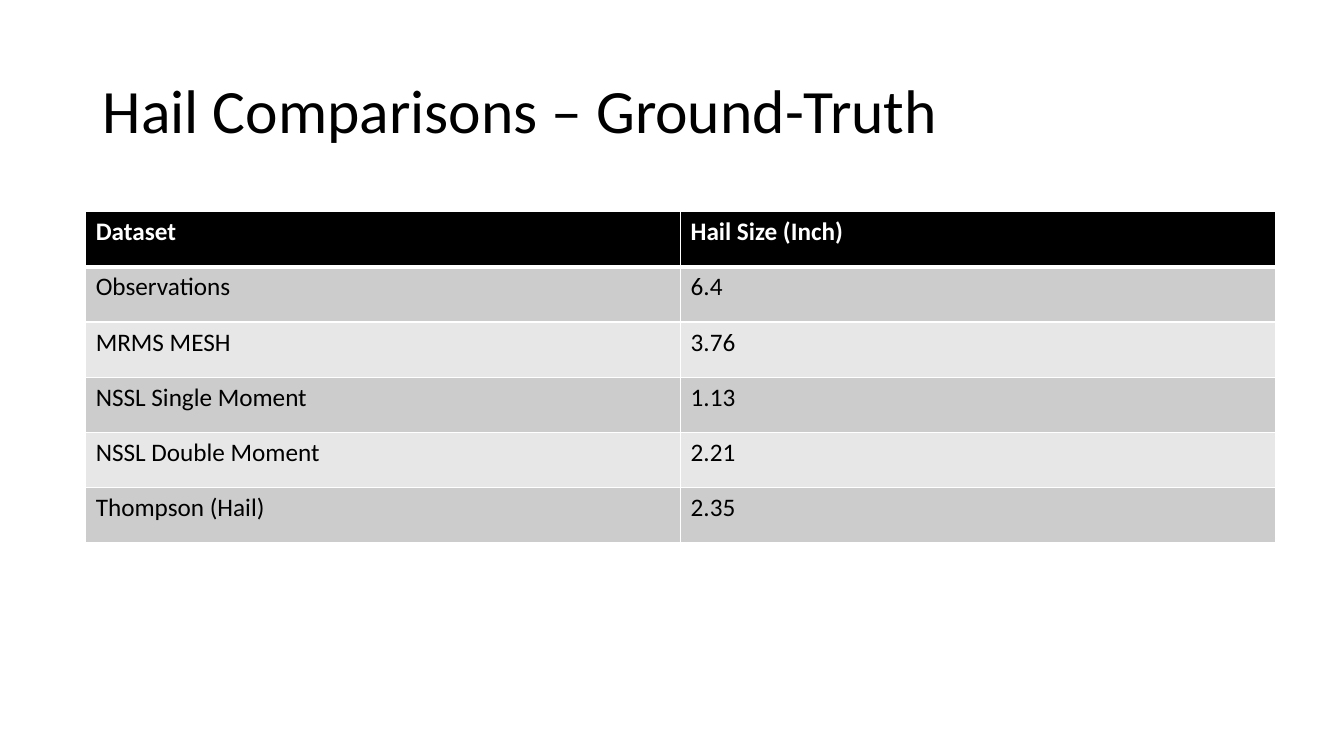
from lxml import etree
from pptx import Presentation
from pptx.dml.color import RGBColor
from pptx.enum import text
from pptx.oxml.ns import qn
from pptx.util import Inches, Pt

FONT = "Calibri"
BLACK, WHITE = "000000", "FFFFFF"
BANDS = ["CCCCCC", "E7E7E7"]
HAIL_SIZES = [
    ("Dataset", "Hail Size (Inch)"),
    ("Observations", "6.4"),
    ("MRMS MESH", "3.76"),
    ("NSSL Single Moment", "1.13"),
    ("NSSL Double Moment", "2.21"),
    ("Thompson (Hail)", "2.35"),
]


def rgb(value):
    return RGBColor.from_string(value)


def set_font(paragraph, size, color, bold=False):
    font = paragraph.font
    font.name, font.size, font.bold = FONT, Pt(size), bold
    font.color.rgb = rgb(color)


def add_title(slide, wording):
    title = slide.shapes.title
    title.left, title.top = Inches(0.92), Inches(0.4)
    title.width, title.height = Inches(11.5), Inches(1.45)
    frame = title.text_frame
    frame.text = wording
    frame.word_wrap = True
    frame.auto_size = text.MSO_AUTO_SIZE.NONE
    frame.vertical_anchor = text.MSO_ANCHOR.MIDDLE
    heading = frame.paragraphs[0]
    heading.alignment = text.PP_ALIGN.LEFT
    heading.line_spacing = 0.9
    set_font(heading, 44, BLACK)


def set_borders(cell, widths):
    """Draw white cell edges; widths maps lnL, lnR, lnT, lnB to points."""
    properties = cell._tc.get_or_add_tcPr()
    for edge, width in widths.items():
        line = etree.SubElement(properties, qn(f"a:{edge}"), w=str(Pt(width)))
        fill = etree.SubElement(line, qn("a:solidFill"))
        etree.SubElement(fill, qn("a:srgbClr"), val=WHITE)


def format_cell(cell, wording, row):
    header = row == 0
    set_borders(cell, {"lnL": 1, "lnR": 1,
                       "lnT": 3 if row == 1 else 1,
                       "lnB": 3 if header else 1})
    cell.fill.solid()
    cell.fill.fore_color.rgb = rgb(BLACK if header else BANDS[(row - 1) % 2])
    cell.text = wording
    set_font(cell.text_frame.paragraphs[0], 18, WHITE if header else BLACK, header)


def add_hail_table(slide, rows):
    row_height = 0.548
    table = slide.shapes.add_table(
        len(rows), len(rows[0]), Inches(0.85), Inches(2.1),
        Inches(11.8), Inches(row_height * len(rows))).table
    for row, entries in enumerate(rows):
        for column, wording in enumerate(entries):
            format_cell(table.cell(row, column), wording, row)


def main():
    deck = Presentation()
    deck.slide_width, deck.slide_height = Inches(13.33), Inches(7.5)
    slide = deck.slides.add_slide(deck.slide_layouts[5])
    add_title(slide, "Hail Comparisons – Ground-Truth")
    add_hail_table(slide, HAIL_SIZES)
    deck.save("out.pptx")


if __name__ == "__main__":
    main()
